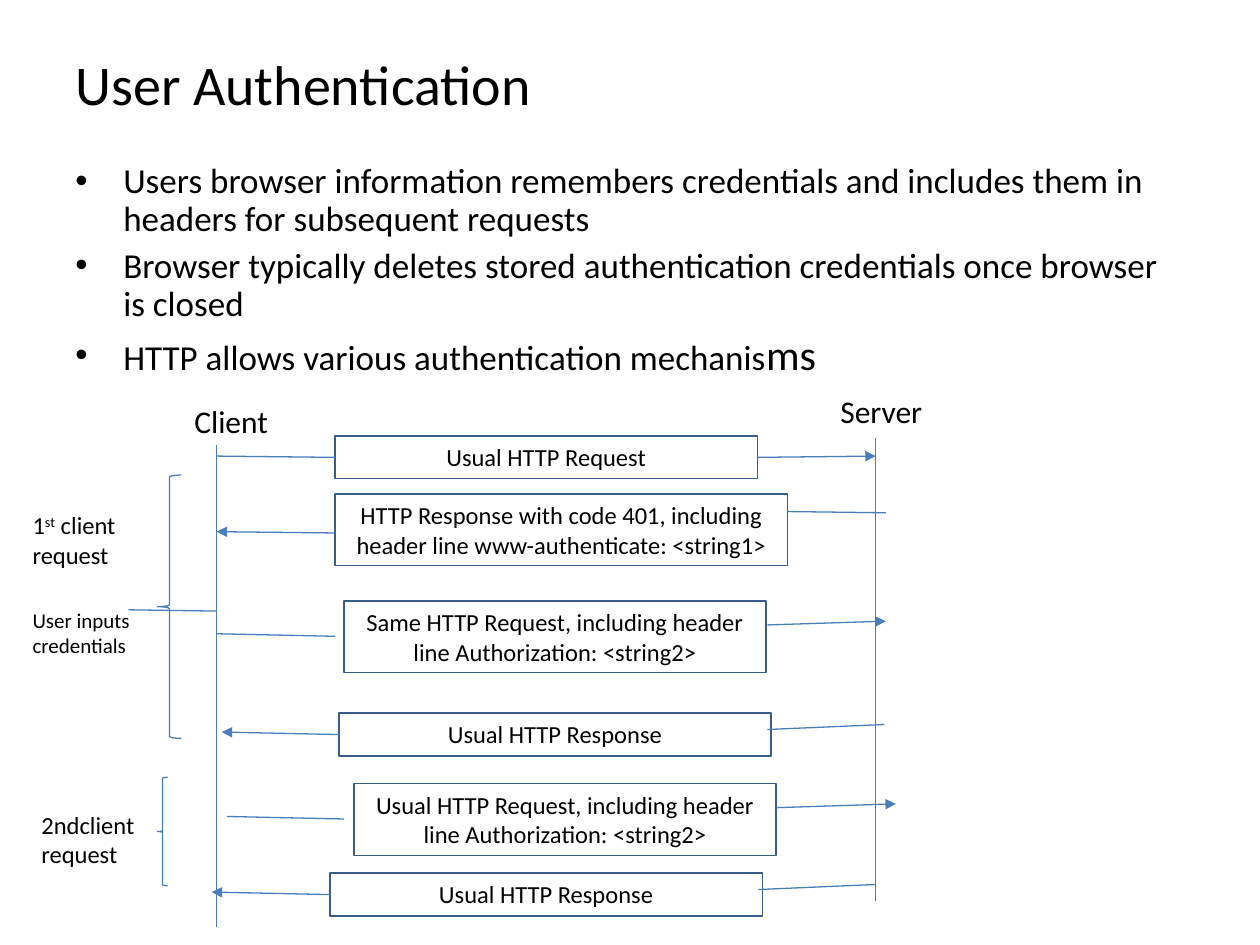
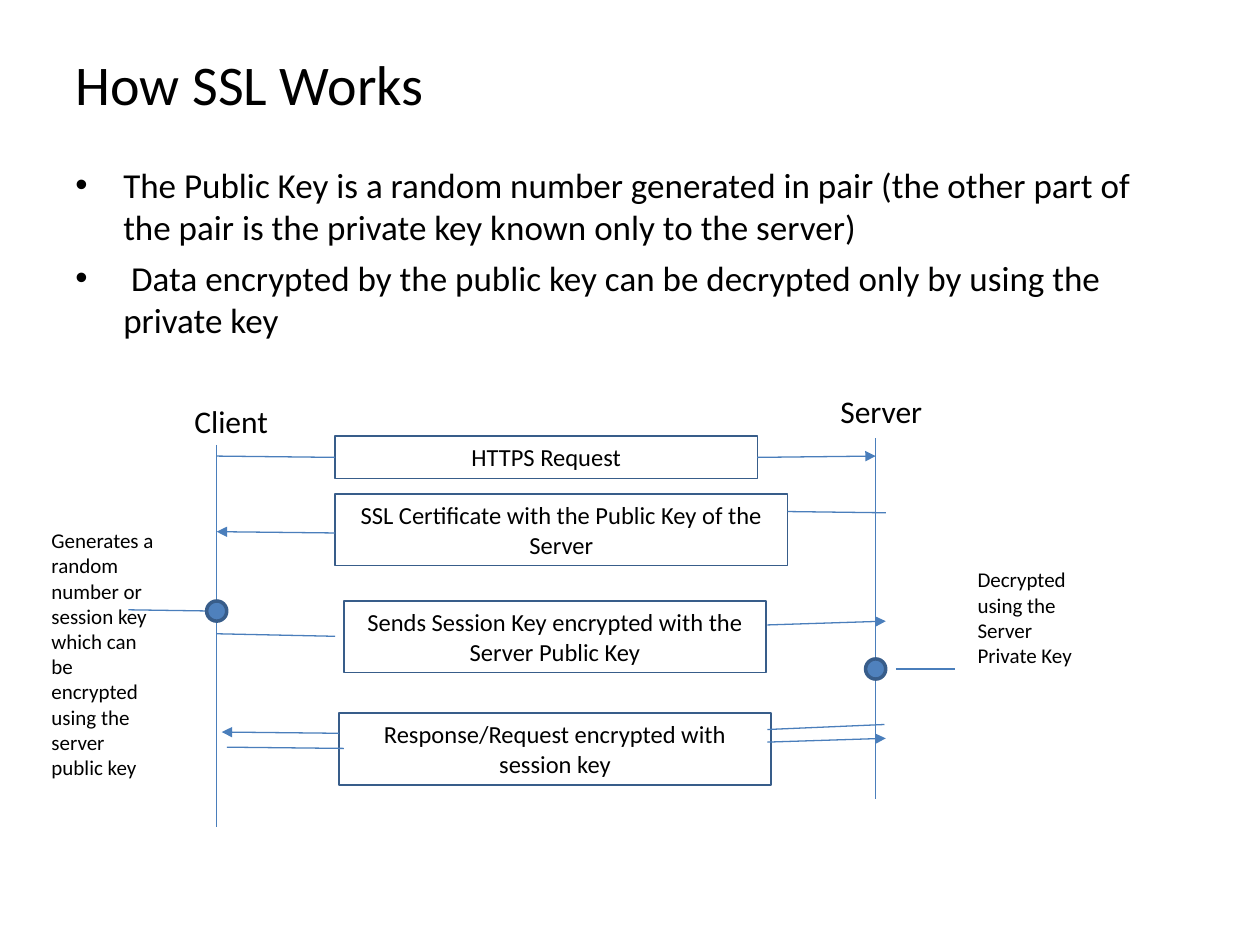
from pptx import Presentation
from pptx.dml.color import RGBColor
from pptx.enum.shapes import MSO_CONNECTOR as Connector, MSO_SHAPE as Shape
from pptx.enum.text import MSO_ANCHOR as Anchor, MSO_AUTO_SIZE as AutoSize, PP_ALIGN as Align
from pptx.oxml.ns import qn
from pptx.util import Inches, Pt
from lxml.etree import SubElement

FONT = "Calibri"
BLACK, LINE, BORDER, DOT = "000000", "4A7EBB", "385D8A", "4F81BD"
CLIENT_X, SERVER_X = 1.72, 6.95
LEFT, RIGHT = 1, 3

SHARED_ARROWS = [
    ((6.25, 4.06), (7.03, 4.07), None),
    ((1.72, 4.22), (2.66, 4.23), "head"),
    ((6.09, 4.96), (7.03, 4.93), "tail"),
    ((6.09, 5.79), (7.02, 5.75), None),
    ((1.72, 5.03), (2.66, 5.05), None),
    ((1.72, 4.85), (1.02, 4.84), None),
]


def colour(hex_string):
    """Turn a hex string into a colour."""
    return RGBColor.from_string(hex_string)


def add_run(paragraph, text, size, baseline=None):
    """Add one run in the shared font."""
    run = paragraph.add_run()
    run.text = text
    run.font.name = FONT
    run.font.size = Pt(size)
    run.font.color.rgb = colour(BLACK)
    if baseline:
        run._r.get_or_add_rPr().set("baseline", str(baseline * 1000))


def add_text(slide, runs, size, place, align=Align.LEFT, anchor=Anchor.TOP, fit=True):
    """Add a wrapped text box holding one paragraph of (text, baseline) runs."""
    box = slide.shapes.add_textbox(*map(Inches, place))
    frame = box.text_frame
    frame.word_wrap = True
    frame.vertical_anchor = anchor
    if fit:
        frame.auto_size = AutoSize.SHAPE_TO_FIT_TEXT
    paragraph = frame.paragraphs[0]
    paragraph.alignment = align
    for text, baseline in runs:
        add_run(paragraph, text, size, baseline)


def add_label(slide, text, size, *place, align=Align.LEFT):
    """Add a plain label."""
    add_text(slide, [(text, None)], size, place, align)


def add_bullets(slide, items, line_spacing):
    """Add the bullet list; each item is (space before, runs of (text, size))."""
    box = slide.shapes.add_textbox(Inches(0.5), Inches(1.25), Inches(8.95), Inches(1.88))
    frame = box.text_frame
    frame.word_wrap = True
    for index, (space_before, runs) in enumerate(items):
        paragraph = frame.add_paragraph() if index else frame.paragraphs[0]
        paragraph.line_spacing = line_spacing
        paragraph.space_before = Pt(space_before)
        properties = paragraph._p.get_or_add_pPr()
        properties.set("marL", str(Inches(0.38)))
        properties.set("indent", str(-Inches(0.38)))
        SubElement(properties, qn("a:buFont")).set("typeface", "Arial")
        SubElement(properties, qn("a:buChar")).set("char", "•")
        for text, size in runs:
            add_run(paragraph, text, size)


def add_outline(slide, kind, place, line=BORDER, weight=0.75, fill=None):
    """Add a preset shape with a line and an optional fill."""
    shape = slide.shapes.add_shape(kind, *map(Inches, place))
    shape.shadow.inherit = False
    shape.line.color.rgb = colour(line)
    shape.line.width = Pt(weight)
    if fill:
        shape.fill.solid()
        shape.fill.fore_color.rgb = colour(fill)
    else:
        shape.fill.background()
    return shape


def add_message(slide, text, *place):
    """Add a message box between the two lifelines."""
    box = add_outline(slide, Shape.RECTANGLE, place)
    frame = box.text_frame
    frame.word_wrap = True
    frame.vertical_anchor = Anchor.TOP
    frame.auto_size = AutoSize.SHAPE_TO_FIT_TEXT
    paragraph = frame.paragraphs[0]
    paragraph.alignment = Align.CENTER
    add_run(paragraph, text, 14)
    return box


def add_brace(slide, *place):
    """Add a left brace that groups one client request."""
    add_outline(slide, Shape.LEFT_BRACE, place, LINE)


def add_dot(slide, x, y):
    """Mark an event on a lifeline, centred at x and y."""
    add_outline(slide, Shape.OVAL, (x - 0.08, y - 0.08, 0.16, 0.16), BORDER, 2, DOT)


def add_arrow(slide, start, end, arrowhead=None):
    """Add a straight line, with a triangle at its head or tail if named."""
    connector = slide.shapes.add_connector(Connector.STRAIGHT, *map(Inches, start + end))
    connector.line.color.rgb = colour(LINE)
    connector.line.width = Pt(0.75)
    if arrowhead:
        line = connector.line._get_or_add_ln()
        SubElement(line, qn(f"a:{arrowhead}End")).set("type", "triangle")
    SubElement(connector._element.spPr, qn("a:effectLst"))
    return connector


def add_sequence_slide(presentation, title, bullets, line_spacing, ends, messages):
    """Add the title, bullets, lifelines and first exchanges; return slide and last box."""
    slide = presentation.slides.add_slide(presentation.slide_layouts[6])
    add_text(slide, [(title, None)], 32, (0.5, 0.3, 9.11, 0.72), anchor=Anchor.MIDDLE, fit=False)
    add_bullets(slide, bullets, line_spacing)
    client_end, server_end = ends
    add_arrow(slide, (CLIENT_X, 3.53), (CLIENT_X, client_end))
    add_arrow(slide, (SERVER_X, 3.48), (SERVER_X, server_end))
    add_label(slide, "Client", 18, 1.17, 3.14, 1.33, 0.4, align=Align.CENTER)
    add_label(slide, "Server", 18, 6.33, 3.06, 1.33, 0.4, align=Align.CENTER)

    request, reply, second_request, (last_text, last_height) = messages
    first_box = add_message(slide, request, 2.66, 3.46, 3.35, 0.34)
    add_message(slide, reply, 2.66, 3.92, 3.59, 0.57)
    add_message(slide, second_request, 2.73, 4.77, 3.35, 0.57)
    last_box = add_message(slide, last_text, 2.69, 5.66, 3.43, last_height)
    add_arrow(slide, (1.72, 3.62), (2.66, 3.63)).end_connect(first_box, LEFT)
    add_arrow(slide, (6.02, 3.65), (6.95, 3.62), "tail").begin_connect(first_box, RIGHT)
    for arrow in SHARED_ARROWS:
        add_arrow(slide, *arrow)
    return slide, last_box


def build_authentication(presentation):
    """Build the slide on user authentication."""
    slide, response = add_sequence_slide(
        presentation,
        "User Authentication",
        [
            (5, [("Users browser information remembers credentials and includes them in "
                  "headers for subsequent requests", 20)]),
            (5, [("Browser typically deletes stored authentication credentials once "
                  "browser is closed", 20)]),
            (6, [("HTTP allows various authentication mechanis", 20), ("ms", 24)]),
        ],
        0.9,
        (7.36, 7.15),
        [
            "Usual HTTP Request",
            "HTTP Response with code 401, including header line www-authenticate: <string1>",
            "Same HTTP Request, including header line Authorization: <string2>",
            ("Usual HTTP Response", 0.34),
        ],
    )
    add_arrow(slide, (1.76, 5.81), (2.69, 5.82), "head").end_connect(response, LEFT)
    add_message(slide, "Usual HTTP Request, including header line Authorization: <string2>",
                2.81, 6.22, 3.35, 0.57)
    add_arrow(slide, (1.8, 6.48), (2.73, 6.5))
    add_arrow(slide, (6.17, 6.41), (7.11, 6.38), "tail")
    final_response = add_message(slide, "Usual HTTP Response", 2.62, 6.93, 3.43, 0.34)
    add_arrow(slide, (1.68, 7.08), (2.62, 7.09), "head").end_connect(final_response, LEFT)
    add_arrow(slide, (6.02, 7.06), (6.95, 7.02))

    add_brace(slide, 1.25, 3.77, 0.19, 2.09)
    add_brace(slide, 1.25, 6.17, 0.08, 0.86)
    add_text(slide, [("1", None), ("st", 30), (" client request", None)], 14,
             (0.16, 4, 1.02, 0.57))
    add_label(slide, "User inputs credentials", 12, 0.16, 4.77, 1.02, 0.5)
    add_label(slide, "2ndclient request", 14, 0.23, 6.38, 1.02, 0.57)


def build_ssl(presentation):
    """Build the slide on how SSL works."""
    slide, _ = add_sequence_slide(
        presentation,
        "How SSL Works",
        [
            (5, [("The Public Key is a random number generated in pair (the other part of "
                  "the pair is the private key known only to the server)", 20)]),
            (5, [(" Data encrypted by the public key can be decrypted only by using the "
                  "private key", 20)]),
        ],
        1.0,
        (6.56, 6.34),
        [
            "HTTPS Request",
            "SSL Certificate with the Public Key of the Server",
            "Sends Session Key encrypted with the Server Public Key",
            ("Response/Request encrypted with session key", 0.57),
        ],
    )
    add_arrow(slide, (1.76, 5.81), (2.69, 5.82), "head")
    add_arrow(slide, (1.8, 5.93), (2.73, 5.94))
    add_arrow(slide, (6.09, 5.89), (7.03, 5.86), "tail")
    add_arrow(slide, (7.11, 5.31), (7.58, 5.31))
    add_dot(slide, CLIENT_X, 4.85)
    add_dot(slide, SERVER_X, 5.31)
    add_label(slide, "Generates a random number or session key which can be encrypted "
              "using the server public key", 12, 0.31, 4.14, 1.02, 2.1)
    add_label(slide, "Decrypted using the Server Private Key", 12, 7.66, 4.45, 1.02, 0.9)


def main():
    """Build and save the presentation."""
    presentation = Presentation()
    presentation.slide_width = Inches(10)
    presentation.slide_height = Inches(7.5)
    build_authentication(presentation)
    build_ssl(presentation)
    presentation.save("out.pptx")


if __name__ == "__main__":
    main()
